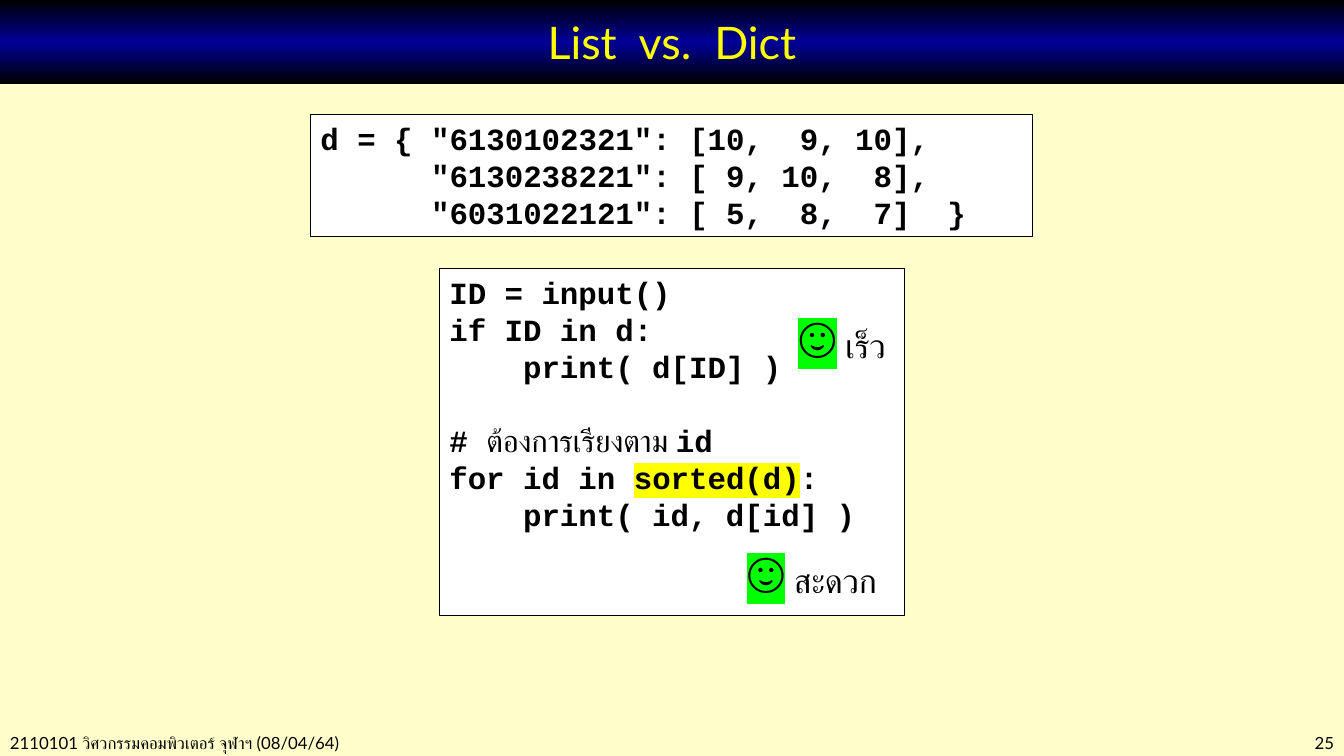
from lxml import etree
from pptx import Presentation
from pptx.dml.color import RGBColor
from pptx.enum.shapes import MSO_SHAPE
from pptx.enum.text import MSO_ANCHOR, PP_ALIGN
from pptx.oxml.ns import qn
from pptx.util import Pt

RECTANGLE = MSO_SHAPE.RECTANGLE
TOP, MIDDLE = MSO_ANCHOR.TOP, MSO_ANCHOR.MIDDLE
LEFT, CENTER, RIGHT = PP_ALIGN.LEFT, PP_ALIGN.CENTER, PP_ALIGN.RIGHT

COLORS = {
    "cream": "FFFFCC",
    "black": "000000",
    "navy": "000099",
    "white": "FFFFFF",
    "yellow": "FFFF00",
    "green": "00FF00",
}
CODE_FONT, TEXT_FONT = "Courier New", "Lato"
SLIDE_WIDTH, SLIDE_HEIGHT = 960, 540

SCORES = [
    'd = { "6130102321": [10,  9, 10],',
    '      "6130238221": [ 9, 10,  8],',
    '      "6031022121": [ 5,  8,  7]  }',
]
LOOKUP = [
    "ID = input()",
    "if ID in d:",
    "    print( d[ID] )",
    "",
    [("# ", {}), ("ต้องการเรียงตาม ", {"bold": False}), ("id", {})],
    [("for id in ", {}), ("sorted(d)", {"highlight": "yellow"}), (":", {})],
    "    print( id, d[id] )",
]


def rgb(name):
    return RGBColor.from_string(COLORS[name])


def format_run(run, size, font, color="black", bold=False, highlight=None):
    run.font.size = Pt(size)
    run.font.bold = bold
    run.font.color.rgb = rgb(color)
    if highlight:
        marker = etree.Element(qn("a:highlight"))
        etree.SubElement(marker, qn("a:srgbClr"), val=COLORS[highlight])
        run.font._element.find(qn("a:solidFill")).addnext(marker)
    run.font.name = font


def write_lines(frame, lines, align=LEFT, **style):
    for index, line in enumerate(lines):
        paragraph = frame.paragraphs[0] if index == 0 else frame.add_paragraph()
        paragraph.alignment = align
        paragraph.font.size = Pt(style["size"])
        pieces = [(line, {})] if isinstance(line, str) else line
        for text, changes in pieces:
            if text:
                run = paragraph.add_run()
                run.text = text
                format_run(run, **{**style, **changes})


def add_box(slide, left, top, width, height, anchor):
    box = slide.shapes.add_shape(RECTANGLE, Pt(left), Pt(top), Pt(width), Pt(height))
    box.shadow.inherit = False
    box.text_frame.vertical_anchor = anchor
    box.text_frame.word_wrap = True
    return box


def add_title(slide, text):
    banner = add_box(slide, 0, 0, SLIDE_WIDTH, 60, MIDDLE)
    banner.line.fill.background()
    banner.fill.gradient()
    banner.fill.gradient_angle = 90
    stops = banner.fill._xPr.find(qn("a:gradFill")).find(qn("a:gsLst"))
    for stop in list(stops):
        stops.remove(stop)
    for position, color in ((0, "black"), (50000, "navy"), (100000, "black")):
        stop = etree.SubElement(stops, qn("a:gs"), pos=str(position))
        etree.SubElement(stop, qn("a:srgbClr"), val=COLORS[color])
    write_lines(banner.text_frame, [text], CENTER, size=32, font=TEXT_FONT, color="yellow")


def add_code(slide, left, top, width, height, lines):
    panel = add_box(slide, left, top, width, height, TOP)
    panel.fill.solid()
    panel.fill.fore_color.rgb = rgb("white")
    panel.line.color.rgb = rgb("black")
    panel.line.width = Pt(0.75)
    write_lines(panel.text_frame, lines, size=22, font=CODE_FONT, bold=True)


def add_label(slide, left, top, width, height, line, size, align=LEFT, wrap=True):
    label = slide.shapes.add_textbox(Pt(left), Pt(top), Pt(width), Pt(height))
    label.text_frame.word_wrap = wrap
    write_lines(label.text_frame, [line], align, size=size, font=TEXT_FONT)


def add_verdict(slide, left, top, width, word):
    line = [("☺", {"size": 36, "highlight": "green"}), (" " + word, {})]
    add_label(slide, left, top, width, 51, line, 24, wrap=False)


def main():
    deck = Presentation()
    deck.slide_width, deck.slide_height = Pt(SLIDE_WIDTH), Pt(SLIDE_HEIGHT)
    slide = deck.slides.add_slide(deck.slide_layouts[6])
    slide.background.fill.solid()
    slide.background.fill.fore_color.rgb = rgb("cream")

    add_label(slide, 0, 520, 374, 21.6, "2110101 วิศวกรรมคอมพิวเตอร์ จุฬาฯ (08/04/64)", 12)
    add_label(slide, 828, 520, 132, 21.6, "25", 12, RIGHT)
    add_title(slide, "List  vs.  Dict")
    add_code(slide, 221.8, 82.1, 515.5, 87.1, SCORES)
    add_code(slide, 313.9, 191.9, 332, 247.7, LOOKUP)
    add_verdict(slide, 563, 216.7, 82.8, "เร็ว")
    add_verdict(slide, 526.3, 384.5, 119.5, "สะดวก")
    deck.save("out.pptx")


if __name__ == "__main__":
    main()
